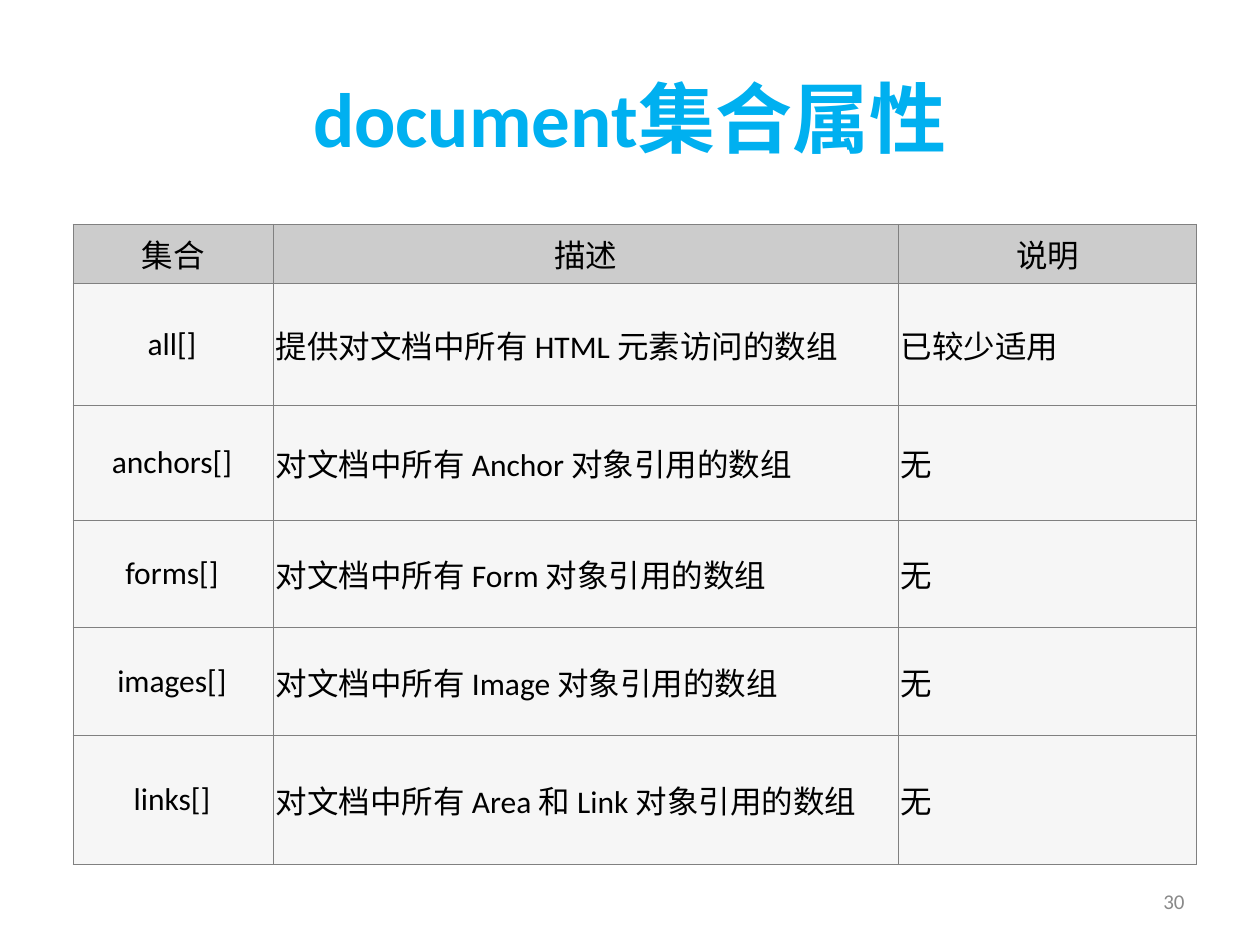
from lxml import etree
from pptx import Presentation
from pptx.dml.color import RGBColor
from pptx.enum.text import MSO_ANCHOR, PP_ALIGN
from pptx.oxml.ns import qn
from pptx.util import Inches, Pt

LEFT, MID, RIGHT = PP_ALIGN.LEFT, PP_ALIGN.CENTER, PP_ALIGN.RIGHT
CENTRE = MSO_ANCHOR.MIDDLE
FONT = "Calibri"
WIDE, HIGH = 10, 7.5
EDGE = "808080"

COLS = [1.59, 4.96, 2.37]
ROWS = [0.47, 0.97, 0.91, 0.85, 0.86, 1.02]
HEAD = ["集合", "描述", "说明"]
BODY = [
    ["all[]", "提供对文档中所有 HTML 元素访问的数组", "已较少适用"],
    ["anchors[]", "对文档中所有 Anchor 对象引用的数组", "无"],
    ["forms[]", "对文档中所有 Form 对象引用的数组", "无"],
    ["images[]", "对文档中所有 Image 对象引用的数组", "无"],
    ["links[]", "对文档中所有 Area 和 Link 对象引用的数组", "无"],
]


def color(code):
    return RGBColor.from_string(code)


def write(frame, text, size, code, align, bold=False):
    para = frame.paragraphs[0]
    para.alignment = align
    run = para.add_run()
    run.text = text
    font = run.font
    font.name, font.size, font.bold = FONT, Pt(size), bold
    font.color.rgb = color(code)


def label(slide, box, *style):
    """Add a one-line text box; style is passed on to write."""
    frame = slide.shapes.add_textbox(*map(Inches, box)).text_frame
    frame.word_wrap = True
    frame.vertical_anchor = CENTRE
    write(frame, *style)


def border(cell):
    props = cell._tc.get_or_add_tcPr()
    for side in ("lnL", "lnR", "lnT", "lnB"):
        line = etree.SubElement(props, qn(f"a:{side}"), w=str(Pt(0.6)))
        fill = etree.SubElement(line, qn("a:solidFill"))
        etree.SubElement(fill, qn("a:srgbClr"), val=EDGE)


def fill_cell(cell, text, code, pads, align):
    border(cell)
    cell.fill.solid()
    cell.fill.fore_color.rgb = color(code)
    cell.vertical_anchor = CENTRE
    cell.margin_left, cell.margin_right = map(Inches, pads)
    cell.margin_top = cell.margin_bottom = Inches(0.01)
    write(cell.text_frame, text, 18, "000000", align)


def grid(slide, left, top):
    """Add the table of document collections."""
    box = map(Inches, (left, top, sum(COLS), sum(ROWS)))
    table = slide.shapes.add_table(len(ROWS), len(COLS), *box).table
    for col, width in zip(table.columns, COLS):
        col.width = Inches(width)
    for row, height in zip(table.rows, ROWS):
        row.height = Inches(height)
    for r, texts in enumerate([HEAD] + BODY):
        code, pads = ("F6F6F6", (0.02, 0.04)) if r else ("CCCCCC", (0.01, 0.01))
        for c, text in enumerate(texts):
            align = LEFT if r and c else MID
            fill_cell(table.cell(r, c), text, code, pads, align)


def main():
    deck = Presentation()
    deck.slide_width, deck.slide_height = Inches(WIDE), Inches(HIGH)
    slide = deck.slides.add_slide(deck.slide_layouts[6])
    title = (0.05 * WIDE, 0.04 * HIGH, 0.9 * WIDE, 1.25)
    label(slide, title, "document集合属性", 44, "00B0F0", MID, True)
    grid(slide, 0.58, 1.78)
    label(slide, (7.17, 6.95, 2.33, 0.4), "30", 12, "898989", RIGHT)
    deck.save("out.pptx")


if __name__ == "__main__":
    main()
